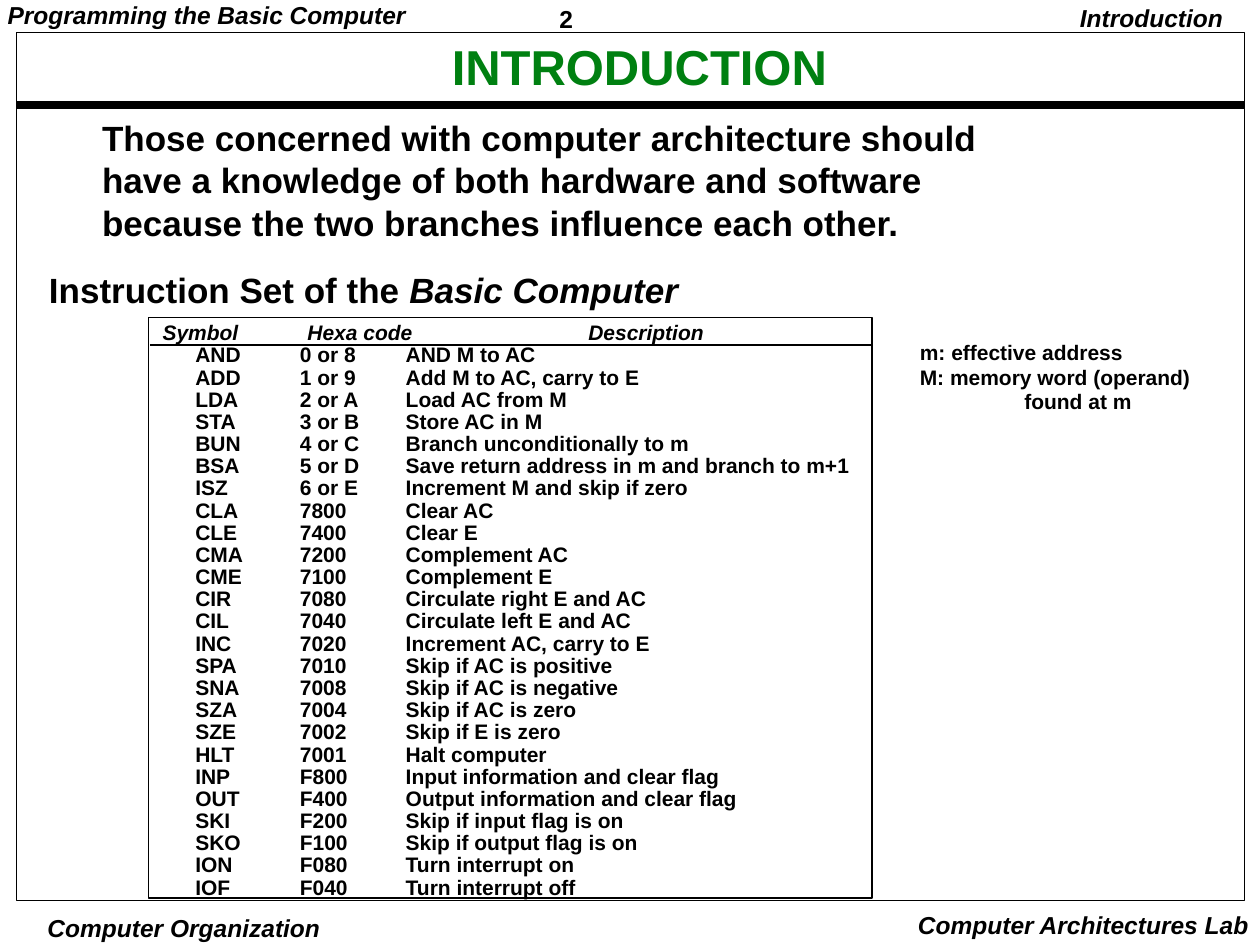
from lxml import etree
from pptx import Presentation
from pptx.dml.color import RGBColor
from pptx.enum.shapes import MSO_CONNECTOR, MSO_SHAPE
from pptx.enum.text import MSO_ANCHOR, MSO_AUTO_SIZE, PP_ALIGN
from pptx.oxml.ns import qn
from pptx.util import Inches, Pt

LEFT, CENTER, RIGHT = PP_ALIGN.LEFT, PP_ALIGN.CENTER, PP_ALIGN.RIGHT
COLORS = {"text": "000000", "title": "008011"}
FONT = "Arial"
TAB_STOPS = (0.83, 1.67, 2.5, 3.33)
TIGHT, NARROW, WIDE = (0.03, 0.01), (0.07, 0.03), (0.1, 0.05)

INSTRUCTIONS = [
    ("AND", "0 or 8", "AND M to AC"),
    ("ADD", "1 or 9", "Add M to AC, carry to E"),
    ("LDA", "2 or A", "Load AC from M"),
    ("STA", "3 or B", "Store AC in M"),
    ("BUN", "4 or C", "Branch unconditionally to m"),
    ("BSA", "5 or D", "Save return address in m and branch to m+1"),
    ("ISZ", "6 or E", "Increment M and skip if zero"),
    ("CLA", "7800", "Clear AC"),
    ("CLE", "7400", "Clear E"),
    ("CMA", "7200", "Complement AC"),
    ("CME", "7100", "Complement E"),
    ("CIR", "7080", "Circulate right E and AC"),
    ("CIL", "7040", "Circulate left E and AC"),
    ("INC", "7020", "Increment AC, carry to E"),
    ("SPA", "7010", "Skip if AC is positive"),
    ("SNA", "7008", "Skip if AC is negative"),
    ("SZA", "7004", "Skip if AC is zero"),
    ("SZE", "7002", "Skip if E is zero"),
    ("HLT", "7001", "Halt computer"),
    ("INP", "F800", "Input information and clear flag"),
    ("OUT", "F400", "Output information and clear flag"),
    ("SKI", "F200", "Skip if input flag is on"),
    ("SKO", "F100", "Skip if output flag is on"),
    ("ION", "F080", "Turn interrupt on"),
    ("IOF", "F040", "Turn interrupt off"),
]


def add_text(box, lines, size, spacing=1.0, insets=NARROW, align=LEFT, italic=False,
             wrap=False, color="text"):
    """Add bold text, one paragraph per line; a line is a list of runs."""
    shape = slide.shapes.add_textbox(*map(Inches, box))
    frame = shape.text_frame
    frame.word_wrap = wrap
    frame.auto_size = MSO_AUTO_SIZE.SHAPE_TO_FIT_TEXT
    frame.margin_left = frame.margin_right = Inches(insets[0])
    frame.margin_top = frame.margin_bottom = Inches(insets[1])
    for index, line in enumerate(lines):
        paragraph = frame.add_paragraph() if index else frame.paragraphs[0]
        paragraph.alignment = align
        paragraph.line_spacing = spacing
        if any("\t" in text for text in line):
            tab_list = etree.SubElement(paragraph._p.get_or_add_pPr(), qn("a:tabLst"))
            for stop in TAB_STOPS:
                etree.SubElement(tab_list, qn("a:tab"), pos=str(Inches(stop)), algn="l")
        for text in line:
            run = paragraph.add_run()
            run.text = text
            run.font.name = FONT
            run.font.size = Pt(size)
            run.font.bold = True
            run.font.italic = italic
            run.font.color.rgb = RGBColor.from_string(COLORS[color])
    return shape


presentation = Presentation()
presentation.slide_width, presentation.slide_height = Inches(10), Inches(7.5)
slide = presentation.slides.add_slide(presentation.slide_layouts[6])

# Page header and footer
add_text((4.37, 0, 1.08, 0.29), [["2"]], 14, 1.01)
add_text((-0.01, 0, 3.35, 0.27), [["Programming the Basic Computer"]], 14, 0.9, italic=True)
add_text((8.47, 0, 1.39, 0.31), [["Introduction "]], 14, 0.9, WIDE, RIGHT, italic=True)
add_text((0.33, 7.24, 2.26, 0.26), [["Computer Organization"]], 14, 1.0, TIGHT, CENTER,
         italic=True)
add_text((7.18, 7.17, 2.83, 0.33), [["Computer Architectures Lab"]], 14, 1.0, WIDE, RIGHT,
         italic=True)

# Page frame and instruction frame
for box, width in (((0.13, 0.26, 9.75, 6.89), 0.5), ((1.18, 2.52, 5.74, 4.61), 1)):
    frame_shape = slide.shapes.add_shape(MSO_SHAPE.RECTANGLE, *map(Inches, box))
    frame_shape.shadow.inherit = False
    frame_shape.fill.background()
    frame_shape.line.color.rgb = RGBColor.from_string(COLORS["text"])
    frame_shape.line.width = Pt(width)

# Rules under the title and under the column headings
for start, end, y, width in ((0.13, 9.87, 0.83, 4.5), (1.19, 6.93, 2.74, 1)):
    rule = slide.shapes.add_connector(MSO_CONNECTOR.STRAIGHT, Inches(start), Inches(y),
                                      Inches(end), Inches(y))
    rule.line.color.rgb = RGBColor.from_string(COLORS["text"])
    rule.line.width = Pt(width)
    etree.SubElement(rule._element.spPr, qn("a:effectLst"))

# Title and introduction
title = add_text((0.86, 0.32, 8.43, 0.46), [["INTRODUCTION"]], 28, 0.9, align=CENTER,
                 wrap=True, color="title")
title.text_frame.auto_size = MSO_AUTO_SIZE.NONE
title.text_frame.vertical_anchor = MSO_ANCHOR.MIDDLE
add_text((0.74, 0.89, 8.66, 1.4),
         [["Those concerned with computer architecture should"],
          ["have a knowledge of both hardware and software"],
          ["because the two branches influence each other."]], 20, 1.01, wrap=True)

# Instruction set
heading = add_text((0.29, 2.12, 5.25, 0.4), [["Instruction Set of the ", "Basic Computer"]],
                   20, 0.9, WIDE)
heading.text_frame.paragraphs[0].runs[1].font.italic = True
for left, width, label in ((1.22, 0.79, "Symbol"), (2.37, 1.02, "Hexa code"),
                           (4.6, 1.1, "Description")):
    add_text((left, 2.52, width, 0.25), [[label]], 12, 0.97, italic=True)
listing = add_text((0.82, 2.69, 6.05, 4.67), [["\t".join(row)] for row in INSTRUCTIONS],
                   12, 0.88, WIDE)
listing.text_frame.margin_left = Inches(0.73)
add_text((7.23, 2.68, 2.38, 0.64),
         [["m: effective address"], ["M: memory word (operand)"], ["\tfound at m"]], 12, 0.97)

presentation.save("out.pptx")
